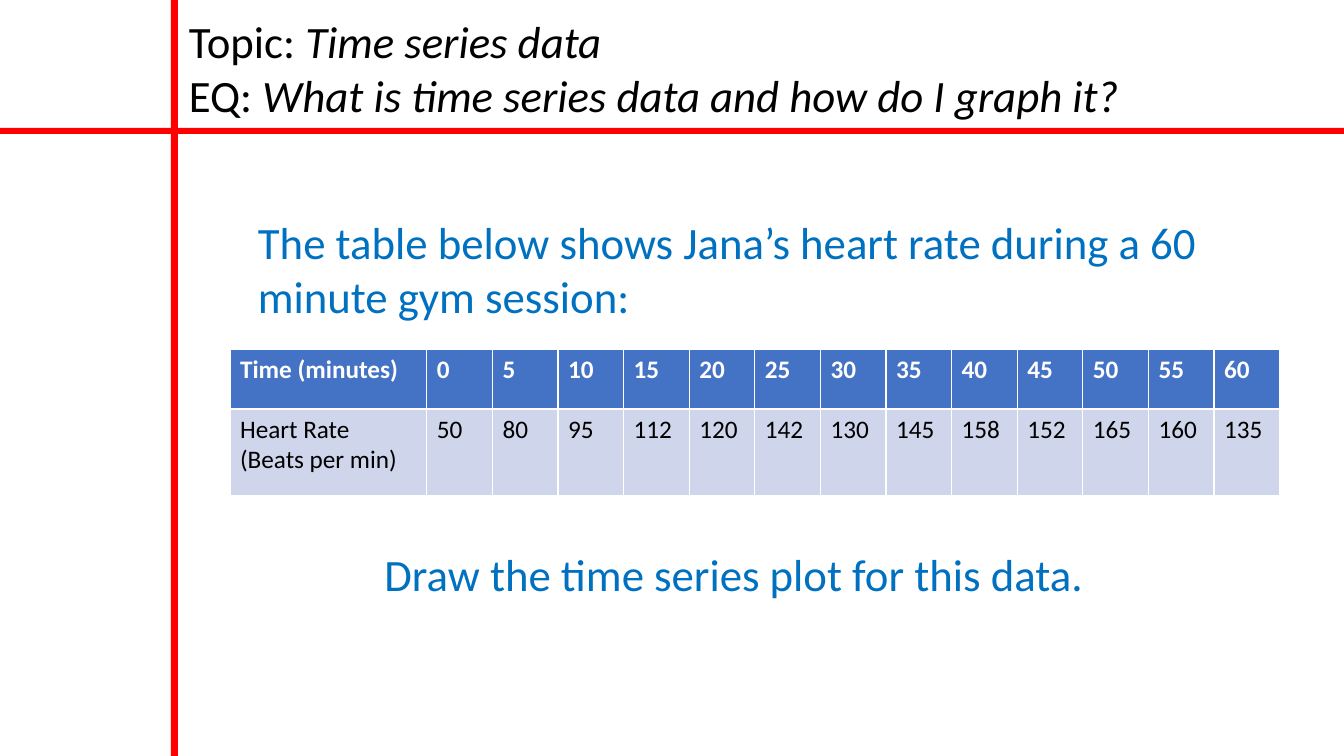
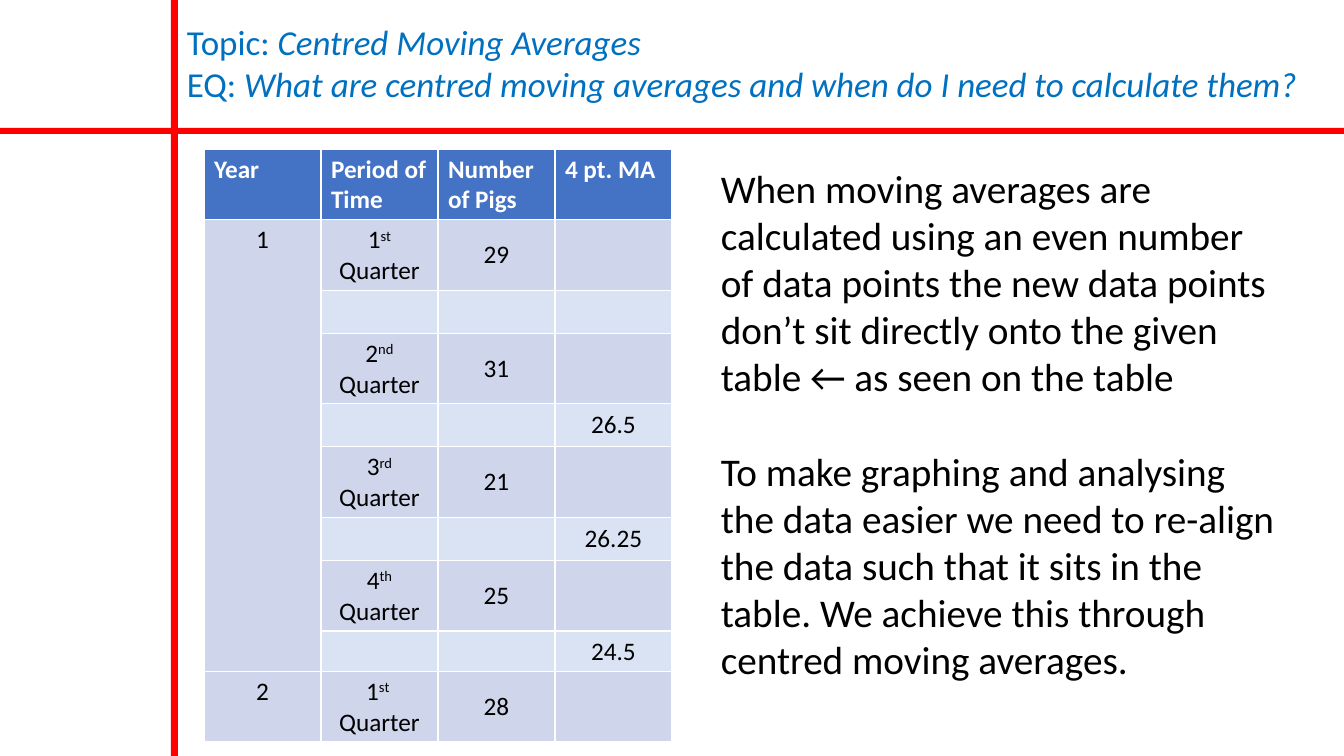
from pptx import Presentation
from pptx.dml.color import RGBColor
from pptx.enum.shapes import MSO_SHAPE
from pptx.enum.text import MSO_ANCHOR, MSO_AUTO_SIZE, PP_ALIGN
from pptx.util import Pt

PX = 12192000 / 1344
WIDE, HIGH = 1344, 756
FONT = "Calibri"
BLACK = RGBColor(0x00, 0x00, 0x00)
WHITE = RGBColor(0xFF, 0xFF, 0xFF)
RED = RGBColor(0xFF, 0x00, 0x00)
BLUE = RGBColor(0x00, 0x70, 0xC0)
HEAD = RGBColor(0x44, 0x72, 0xC4)
PALE = RGBColor(0xCF, 0xD5, 0xEA)
LIGHT = RGBColor(0xDA, 0xE3, 0xF3)
LEFT, MID = PP_ALIGN.LEFT, PP_ALIGN.CENTER


def write(frame, paras, size, color, align=LEFT, bold=False, gap=0):
    """Fill a frame; each paragraph is a list of (text, style) runs."""
    for n, runs in enumerate(paras):
        para = frame.add_paragraph() if n else frame.paragraphs[0]
        para.alignment = align
        if n and gap:
            para.space_before = Pt(gap)
        for text, style in runs:
            run = para.add_run()
            run.text = text
            font = run.font
            font.name, font.size, font.bold = FONT, Pt(size), bold
            font.italic = style == "italic"
            font.color.rgb = color
            if style == "super":
                run._r.get_or_add_rPr().set("baseline", "30000")


def add_text(slide, area, *args, **kwargs):
    box = slide.shapes.add_textbox(*[int(v * PX) for v in area])
    box.text_frame.word_wrap = True
    box.text_frame.auto_size = MSO_AUTO_SIZE.SHAPE_TO_FIT_TEXT
    write(box.text_frame, *args, **kwargs)


deck = Presentation()
deck.slide_width, deck.slide_height = int(WIDE * PX), int(HIGH * PX)

# Shared frame: red bands and the topic heading
topics = [
    ("Time series data", "What is time series data and how do I graph it?",
     (179, 9, 1150, 119), 32, BLACK),
    ("Centred Moving Averages",
     "What are centred moving averages and when do I need to calculate them?",
     (177, 16, 1150, 95), 25, BLUE),
]
slides = []
for topic, query, area, size, color in topics:
    slide = deck.slides.add_slide(deck.slide_layouts[6])
    for band in ((171, 0, 7, HIGH), (0, 128, WIDE, 6)):
        bar = slide.shapes.add_shape(
            MSO_SHAPE.RECTANGLE, *[int(v * PX) for v in band])
        bar.shadow.inherit = False
        bar.fill.solid()
        bar.fill.fore_color.rgb = RED
        bar.line.fill.background()
    add_text(slide, area, [[("Topic: ", ""), (topic, "italic")],
                           [("EQ: ", ""), (query, "italic")]], size, color)
    slides.append(slide)
first, second = slides

# Slide 1: task text
intro = "The table below shows Jana’s heart rate during a 60 minute gym session:"
add_text(first, (248, 210, 972, 119), [[(intro, "")]], 32, BLUE)

# Slide 1: heart rate table, label column three times as wide as the rest
rates = [50, 80, 95, 112, 120, 142, 130, 145, 158, 152, 165, 160, 135]
count = len(rates) + 1
unit = 1050 / (count + 2)
table = first.shapes.add_table(
    2, count, int(230 * PX), int(349 * PX), int(1050 * PX), int(147 * PX)).table
for row, high in zip(table.rows, (60, 87)):
    row.height = int(high * PX)
labels = [["Time (minutes)"], ["Heart Rate", "(Beats per min)"]]
for c in range(count):
    table.columns[c].width = int(unit * PX * (1 if c else 3))
    for r in range(2):
        value = (5 * (c - 1), rates[c - 1])[r]
        lines = [str(value)] if c else labels[r]
        cell = table.cell(r, c)
        cell.fill.solid()
        cell.fill.fore_color.rgb = PALE if r else HEAD
        write(cell.text_frame, [[(line, "")] for line in lines], 18,
              BLACK if r else WHITE, bold=not r)

add_text(first, (248, 542, 972, 65),
         [[("Draw the time series plot for this data.", "")]], 32, BLUE, MID)

# Slide 2: moving average table, quarters alternate with the averages
highs = [70, 70, 43, 70, 43, 70, 43, 70, 40, 70]
table = second.shapes.add_table(
    len(highs), 4, int(204 * PX), int(149 * PX),
    int(468 * PX), int(sum(highs) * PX)).table
for row, high in zip(table.rows, highs):
    row.height = int(high * PX)
for r in range(len(highs)):
    for c in range(4):
        fill = table.cell(r, c).fill
        fill.solid()
        fill.fore_color.rgb = (
            HEAD if r == 0 else PALE if r % 2 or c == 0 else LIGHT)
for c, name in enumerate(["Year", "Period of Time", "Number of Pigs", "4 pt. MA"]):
    table.columns[c].width = int(117 * PX)
    write(table.cell(0, c).text_frame, [[(name, "")]], 18, WHITE, bold=True)

table.cell(1, 0).merge(table.cell(8, 0))
body = {(1, 0): [[("1", "")]], (9, 0): [[("2", "")]]}
pigs = [("1", "st", 29), ("2", "nd", 31), ("3", "rd", 21), ("4", "th", 25)]
for n, (digit, end, total) in enumerate(pigs):
    body[2 * n + 1, 1] = [[(digit, ""), (end, "super"), (" Quarter", "")]]
    body[2 * n + 1, 2] = [[(str(total), "")]]
body[9, 1] = [[("1", ""), ("st ", "super")], [("Quarter", "")]]
body[9, 2] = [[("28", "")]]
for r, mean in zip((4, 6, 8), ("26.5", "26.25", "24.5")):
    body[r, 3] = [[(mean, "")]]
for (r, c), paras in body.items():
    cell = table.cell(r, c)
    if c:
        cell.vertical_anchor = MSO_ANCHOR.MIDDLE
    write(cell.text_frame, paras, 18, BLACK, MID)

# Slide 2: explanation, paragraphs one line apart
notes = [
    "When moving averages are calculated using an even number of data points "
    "the new data points don’t sit directly onto the given table ← as seen on "
    "the table",
    "To make graphing and analysing the data easier we need to re-align the "
    "data such that it sits in the table. We achieve this through centred "
    "moving averages.",
]
add_text(second, (711, 159, 579, 532), [[(note, "")] for note in notes],
         28, BLACK, gap=34)

deck.save("out.pptx")
